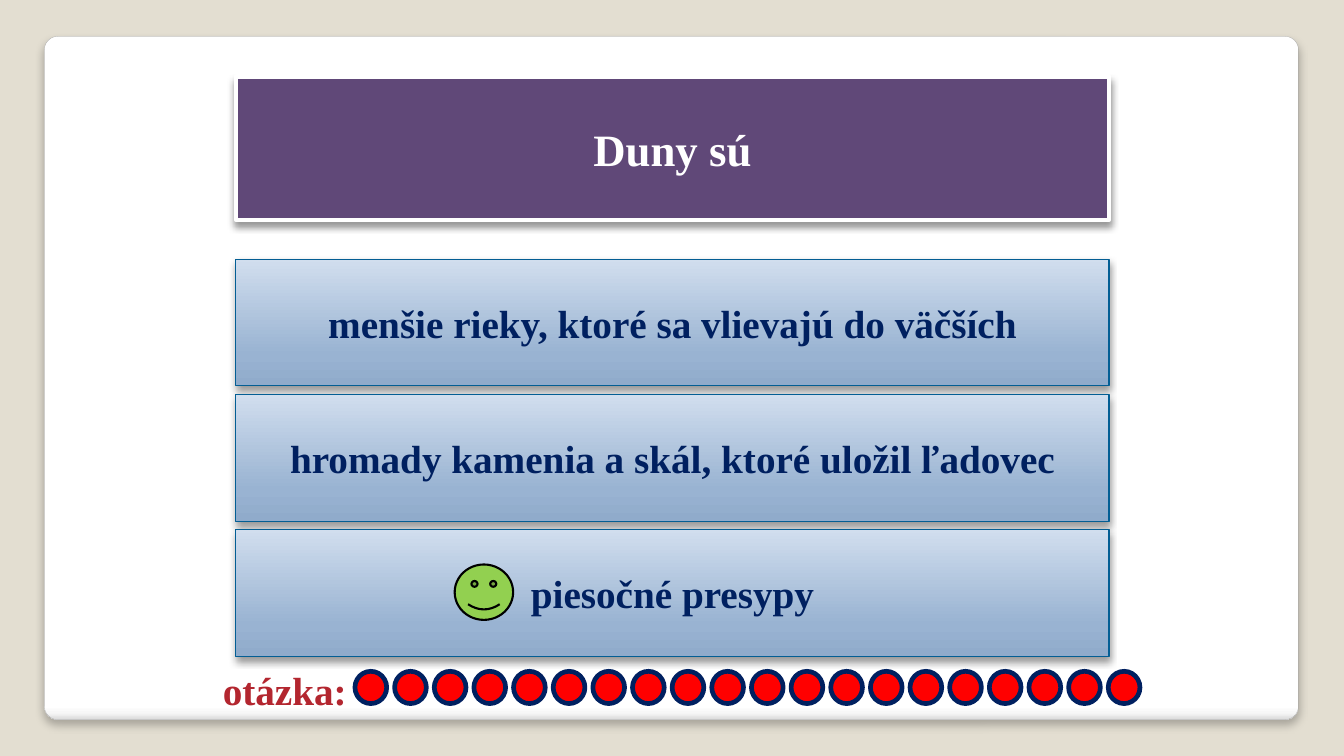
from dataclasses import dataclass, field
from typing import Any, Optional

import pptx
import pptx.dml.color
import pptx.enum.shapes
import pptx.enum.text
import pptx.oxml
import pptx.oxml.ns
import pptx.util

SHAPES = pptx.enum.shapes.MSO_SHAPE
TEXT = pptx.enum.text
Stops = tuple[tuple[int, str], ...]


@dataclass(frozen=True)
class Gradient:
    stops: Stops
    angle: int  # counter-clockwise degrees


@dataclass(frozen=True)
class Shadow:
    opacity: int
    blur: float
    distance: float


@dataclass(frozen=True)
class Theme:
    font: str = "Times New Roman"
    title_size: int = 32
    text_size: int = 28
    backdrop: str = "E3DED1"
    white: str = "FFFFFF"
    panel_line: str = "A4A4A4"
    purple: str = "604878"
    navy: str = "002060"
    answer_line: str = "035E94"
    red: str = "FF0000"
    green: str = "92D050"
    black: str = "000000"
    panel: Gradient = Gradient(
        ((0, "FFFFFF"), (98, "FFFFFF"), (99, "F7F7F7"), (100, "DADADA")), 270)
    answer: Gradient = Gradient(
        ((0, "90ABCB"), (25, "99B3D2"), (100, "D1DEEE")), 90)
    label: Gradient = Gradient(
        ((0, "E07C80"), (75, "B3262F"), (100, "940010")), 270)
    panel_shadow: Shadow = Shadow(25, 6, 4)
    card_shadow: Shadow = Shadow(40, 5.2, 3)


@dataclass(frozen=True)
class Area:
    """Left, top, width and height in percent of the slide."""
    left: float
    top: float
    width: float
    height: float

    def moved(self, right: float = 0, down: float = 0) -> "Area":
        return Area(self.left + right, self.top + down, self.width, self.height)


@dataclass(frozen=True)
class Look:
    fill: str | Gradient
    line: str
    line_width: float
    shadow: Optional[Shadow] = None


@dataclass(frozen=True)
class Part:
    area: Area
    look: Look
    kind: Any = field(default=SHAPES.RECTANGLE)
    words: str = ""


THEME = Theme()
QUESTION = "Duny sú"
ANSWERS = (
    "menšie rieky, ktoré sa vlievajú do väčších",
    "hromady kamenia a skál, ktoré uložil ľadovec",
    "piesočné presypy",
)
DOT_COUNT, DOT_STEP, ANSWER_STEP = 20, 2.95, 17.87

deck = pptx.Presentation()
deck.slide_width = pptx.util.Inches(13.33)
deck.slide_height = pptx.util.Inches(7.5)


def set_all(target: Any, values: dict[str, Any]) -> None:
    for name, value in values.items():
        setattr(target, name, value)


def bounds(area: Area) -> dict[str, int]:
    return {
        "left": round(deck.slide_width * area.left / 100),
        "top": round(deck.slide_height * area.top / 100),
        "width": round(deck.slide_width * area.width / 100),
        "height": round(deck.slide_height * area.height / 100),
    }


def paint(fill: Any, holder: Any, colour: str | Gradient) -> None:
    """Fill with one colour or a gradient; holder is the XML owner of the fill."""
    if isinstance(colour, str):
        fill.solid()
        fill.fore_color.rgb = pptx.dml.color.RGBColor.from_string(colour)
        return
    fill.gradient()
    fill.gradient_angle = colour.angle
    stop_list = holder.find(".//" + pptx.oxml.ns.qn("a:gsLst"))
    for stop in list(stop_list):
        stop_list.remove(stop)
    for position, rgb in colour.stops:
        stop_list.append(pptx.oxml.parse_xml(
            f'<a:gs {pptx.oxml.ns.nsdecls("a")} pos="{position * 1000}">'
            f'<a:srgbClr val="{rgb}"/></a:gs>'))


def cast_shadow(shape: Any, shadow: Optional[Shadow]) -> None:
    shape.shadow.inherit = False
    if shadow is None:
        return
    effects = shape._element.spPr.find(pptx.oxml.ns.qn("a:effectLst"))
    effects.append(pptx.oxml.parse_xml(
        f'<a:outerShdw {pptx.oxml.ns.nsdecls("a")}'
        f' blurRad="{pptx.util.Pt(shadow.blur)}"'
        f' dist="{pptx.util.Pt(shadow.distance)}" dir="5400000"'
        f' algn="t" rotWithShape="0"><a:srgbClr val="{THEME.black}">'
        f'<a:alpha val="{shadow.opacity * 1000}"/></a:srgbClr></a:outerShdw>'))


def dress(shape: Any, look: Look) -> None:
    paint(shape.fill, shape._element.spPr, look.fill)
    paint(shape.line.fill, shape.line._ln, look.line)
    shape.line.width = pptx.util.Pt(look.line_width)
    cast_shadow(shape, look.shadow)


def write(shape: Any, words: str, size: int, colour: str | Gradient,
          **frame_format: Any) -> None:
    set_all(shape.text_frame, {
        "word_wrap": True,
        "auto_size": TEXT.MSO_AUTO_SIZE.NONE,
        "vertical_anchor": TEXT.MSO_ANCHOR.MIDDLE,
        **frame_format,
    })
    paragraph = shape.text_frame.paragraphs[0]
    paragraph.alignment = TEXT.PP_ALIGN.CENTER
    run = paragraph.add_run()
    run.text = words
    set_all(run.font, {"name": THEME.font, "size": pptx.util.Pt(size), "bold": True})
    paint(run.font.fill, run._r.get_or_add_rPr(), colour)


def draw(slide: Any, part: Part) -> Any:
    shape = slide.shapes.add_shape(part.kind, *bounds(part.area).values())
    dress(shape, part.look)
    if part.words:
        write(shape, part.words, THEME.text_size, THEME.navy)
    return shape


def main() -> None:
    slide = deck.slides.add_slide(deck.slide_layouts.get_by_name("Title Only"))
    paint(slide.background.fill, None, THEME.backdrop)

    # White panel behind everything
    panel = draw(slide, Part(
        Area(3.3, 4.8, 93.32, 90.4),
        Look(THEME.panel, THEME.panel_line, 0.16, THEME.panel_shadow),
        SHAPES.ROUNDED_RECTANGLE))
    panel.adjustments[0] = 0.02
    question = slide.shapes.title
    question._element.addprevious(panel._element)

    # Question
    set_all(question, bounds(Area(17.55, 10.13, 64.97, 18.93)))
    dress(question, Look(THEME.purple, THEME.white, 3, THEME.card_shadow))
    write(question, QUESTION, THEME.title_size, THEME.white)

    # Answers
    first_answer = Area(17.55, 34.27, 64.97, 16.8)
    answer_look = Look(THEME.answer, THEME.answer_line, 0.75, THEME.card_shadow)
    for row, answer in enumerate(ANSWERS):
        draw(slide, Part(first_answer.moved(down=row * ANSWER_STEP),
                         answer_look, words=answer))

    # Question counter
    counter = slide.shapes.add_textbox(
        *bounds(Area(15.75, 87.47, 10.88, 7.6)).values())
    write(counter, "otázka:", THEME.text_size, THEME.label, word_wrap=False,
          auto_size=TEXT.MSO_AUTO_SIZE.SHAPE_TO_FIT_TEXT,
          vertical_anchor=TEXT.MSO_ANCHOR.TOP)
    first_dot = Area(26.41, 88.8, 2.36, 4.27)
    dot_look = Look(THEME.red, THEME.navy, 3.35)
    for column in range(DOT_COUNT):
        draw(slide, Part(first_dot.moved(right=column * DOT_STEP),
                         dot_look, SHAPES.OVAL))

    # Mark of the right answer
    draw(slide, Part(Area(33.83, 74.67, 4.35, 7.33),
                     Look(THEME.green, THEME.black, 1.5), SHAPES.SMILEY_FACE))

    deck.save("out.pptx")


if __name__ == "__main__":
    main()
